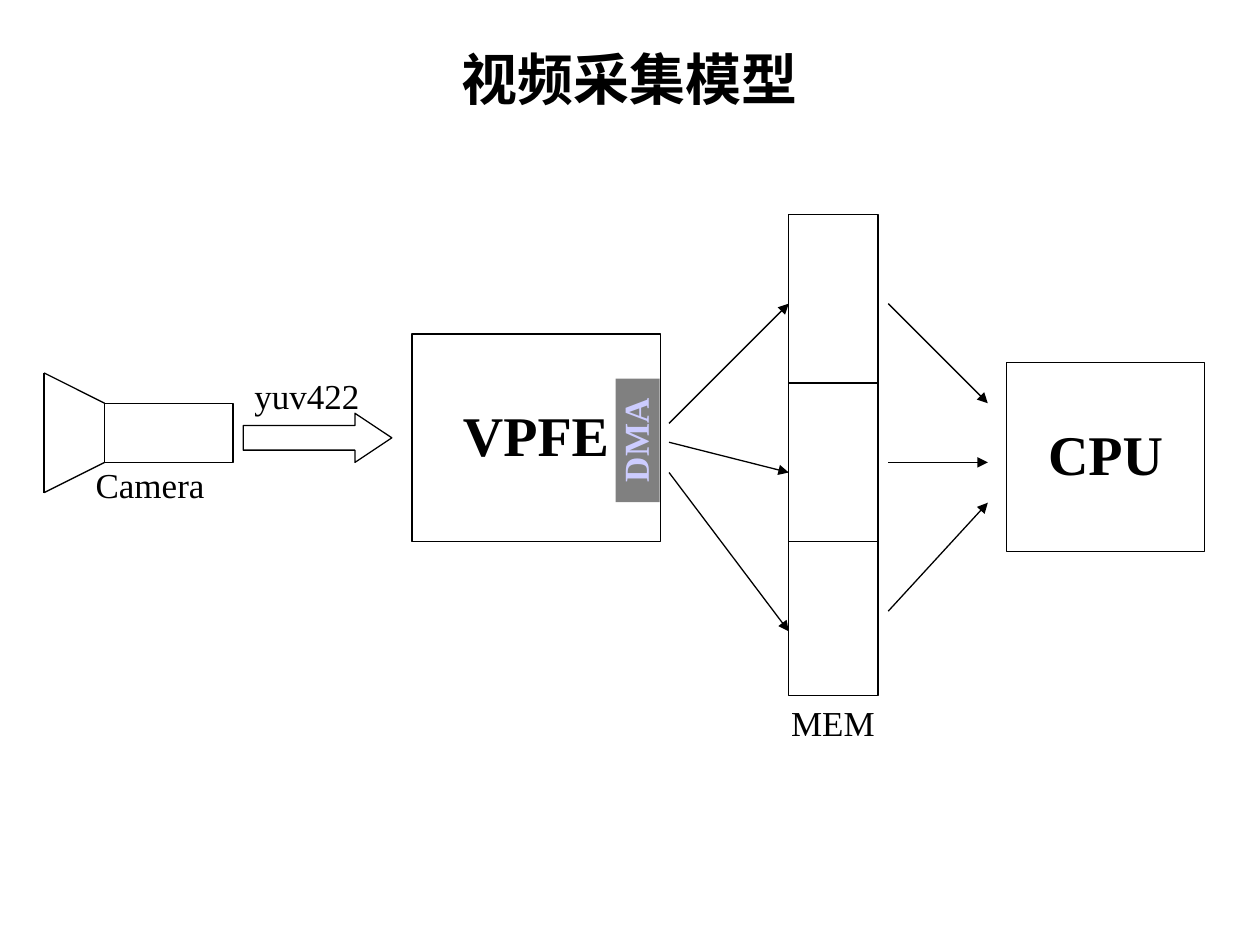
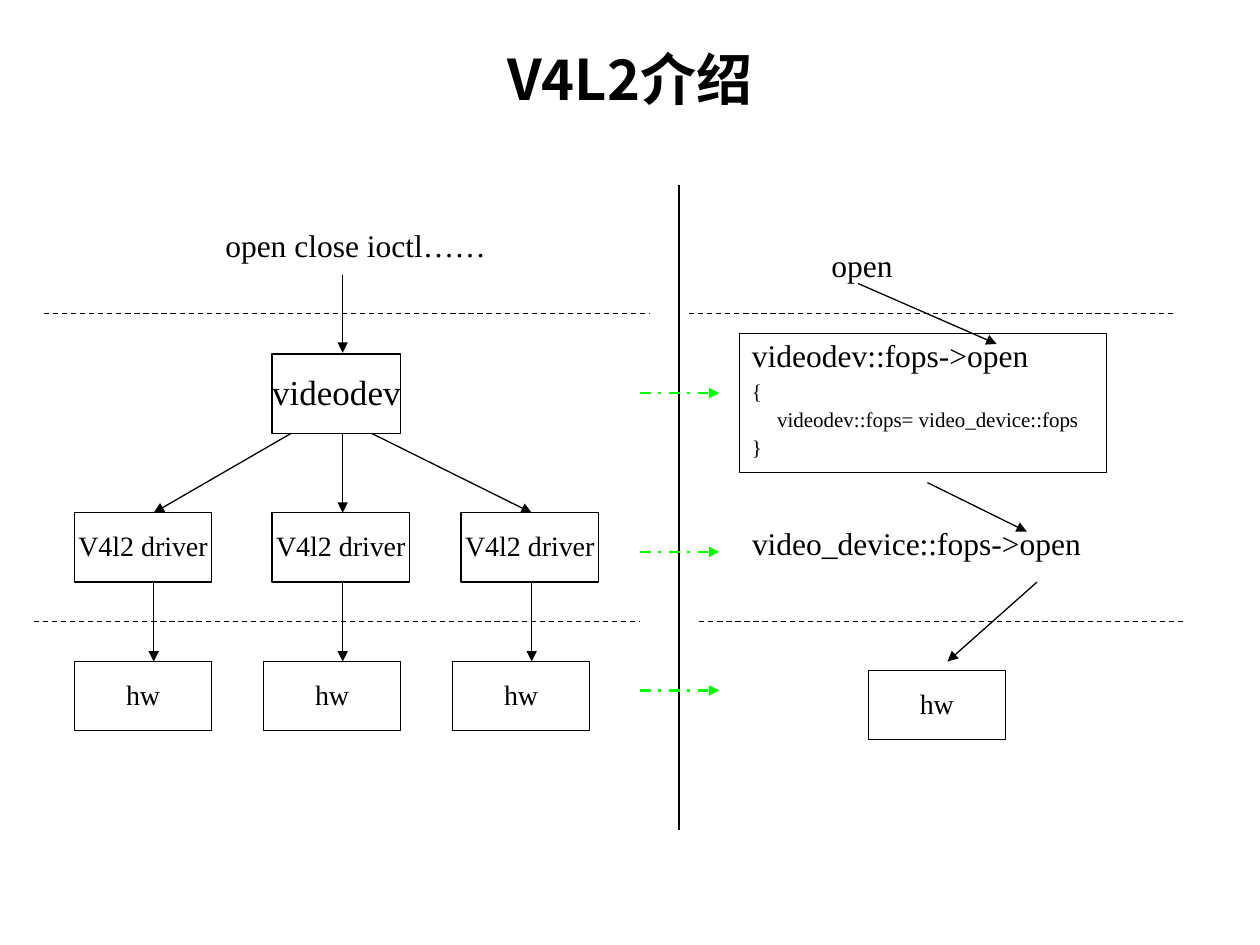
from dataclasses import dataclass

from lxml import etree
from pptx import Presentation
from pptx.dml.color import RGBColor
from pptx.enum.dml import MSO_LINE
from pptx.enum.shapes import MSO_CONNECTOR, MSO_SHAPE
from pptx.enum.text import MSO_ANCHOR, MSO_AUTO_SIZE, PP_ALIGN
from pptx.oxml.ns import qn
from pptx.util import Inches, Pt

STRAIGHT = MSO_CONNECTOR.STRAIGHT
RECTANGLE = MSO_SHAPE.RECTANGLE
RIGHT_ARROW = MSO_SHAPE.RIGHT_ARROW
DASH, DASH_DOT = MSO_LINE.DASH, MSO_LINE.DASH_DOT
CENTER, LEFT = PP_ALIGN.CENTER, PP_ALIGN.LEFT
TOP, MIDDLE = MSO_ANCHOR.TOP, MSO_ANCHOR.MIDDLE
NO_AUTO_SIZE = MSO_AUTO_SIZE.NONE
TITLE_ONLY = 5


@dataclass(frozen=True)
class Theme:
    ink: RGBColor = RGBColor(0, 0, 0)
    dma_fill: RGBColor = RGBColor(0x80, 0x80, 0x80)
    dma_text: RGBColor = RGBColor(0xCC, 0xCC, 0xFF)
    mapping: RGBColor = RGBColor(0, 0xFF, 0)
    title_font: str = "Noto Sans CJK SC"
    body_font: str = "Times New Roman"
    heading: int = 32
    label: int = 20
    call: int = 18
    small: int = 16
    code: int = 12
    thin: float = 0.74
    thick: float = 1.5
    line_spacing: float = 0.9
    code_spacing: float = 0.6


THEME = Theme()


# Text
def format_paragraph(paragraph, size, color=THEME.ink, bold=False, align=LEFT,
                     spacing=THEME.line_spacing, font_name=THEME.body_font):
    paragraph.alignment = align
    paragraph.line_spacing = spacing
    for run in paragraph.runs:
        font = run.font
        font.name, font.size, font.bold = font_name, Pt(size), bold
        font.color.rgb = color
        east_asian = etree.SubElement(run._r.get_or_add_rPr(), qn("a:ea"))
        east_asian.set("typeface", font_name)


def add_titled_slide(presentation, title):
    slide = presentation.slides.add_slide(presentation.slide_layouts[TITLE_ONLY])
    shape = slide.shapes.title
    shape.left, shape.top = Inches(0.5), Inches(0.3)
    shape.width, shape.height = Inches(9), Inches(1.25)
    text_frame = shape.text_frame
    text_frame.text = title
    text_frame.auto_size = NO_AUTO_SIZE
    text_frame.vertical_anchor = TOP
    format_paragraph(text_frame.paragraphs[0], THEME.heading, bold=True,
                     align=CENTER, spacing=1.0, font_name=THEME.title_font)
    return slide


def add_label(slide, left, top, width, height, text, size):
    shape = slide.shapes.add_textbox(Inches(left), Inches(top),
                                     Inches(width), Inches(height))
    text_frame = shape.text_frame
    text_frame.word_wrap = True
    text_frame.text = text
    format_paragraph(text_frame.paragraphs[0], size)
    return text_frame


def add_code(text_frame, line, indent=0):
    paragraph = text_frame.add_paragraph()
    paragraph.text = line
    paragraph.space_before = Pt(7.5)
    paragraph._p.get_or_add_pPr().set("marL", str(Inches(indent)))
    format_paragraph(paragraph, THEME.code, spacing=THEME.code_spacing)


# Shapes and lines
def add_box(slide, left, top, width, height, text="", size=THEME.small,
            bold=False, color=THEME.ink, fill=None, kind=RECTANGLE):
    shape = slide.shapes.add_shape(kind, Inches(left), Inches(top),
                                   Inches(width), Inches(height))
    shape.shadow.inherit = False
    if fill is None:
        shape.fill.background()
        shape.line.color.rgb = THEME.ink
        shape.line.width = Pt(THEME.thin)
    else:
        shape.fill.solid()
        shape.fill.fore_color.rgb = fill
        shape.line.fill.background()
    if text:
        text_frame = shape.text_frame
        text_frame.text = text
        text_frame.word_wrap = False
        text_frame.vertical_anchor = MIDDLE
        format_paragraph(text_frame.paragraphs[0], size, color, bold, CENTER)
    return shape


def add_line(slide, start, end, dash=None, color=THEME.ink, width=THEME.thin):
    connector = slide.shapes.add_connector(STRAIGHT, *map(Inches, start + end))
    connector.line.color.rgb = color
    connector.line.width = Pt(width)
    if dash is not None:
        connector.line.dash_style = dash
    etree.SubElement(connector._element.spPr, qn("a:effectLst"))
    return connector


def add_arrow(slide, start, end, **style):
    connector = add_line(slide, start, end, **style)
    line = connector._element.spPr.find(qn("a:ln"))
    etree.SubElement(line, qn("a:tailEnd")).set("type", "triangle")


# Slide 1: capture path from camera to processor
def build_capture_model(presentation):
    slide = add_titled_slide(presentation, "视频采集模型")

    # Camera with its lens, and the data it sends
    add_box(slide, 0.83, 3.2, 1.02, 0.47)
    lens = [(0.83, 3.2), (0.35, 2.96), (0.35, 3.91), (0.83, 3.67)]
    for start, end in zip(lens, lens[1:]):
        add_line(slide, start, end)
    data_arrow = add_box(slide, 1.93, 3.28, 1.18, 0.39, kind=RIGHT_ARROW)
    data_arrow.adjustments[1] = 0.75
    add_label(slide, 0.66, 3.67, 1.19, 0.4, "Camera", THEME.label)
    add_label(slide, 1.92, 2.96, 1.19, 0.4, "yuv422", THEME.label)

    # Front end and processor
    add_box(slide, 3.27, 2.65, 1.97, 1.65, "VPFE", THEME.heading, bold=True)
    dma = add_box(slide, 4.57, 3.32, 0.98, 0.35, "DMA", THEME.label, bold=True,
                  color=THEME.dma_text, fill=THEME.dma_fill)
    dma.rotation = 270
    add_box(slide, 7.99, 2.88, 1.57, 1.5, "CPU", THEME.heading, bold=True)

    # Memory split into three buffers
    add_box(slide, 6.26, 1.7, 0.71, 3.82)
    for y in (3.04, 4.3):
        add_line(slide, (6.26, y), (6.97, y))
    add_label(slide, 6.18, 5.56, 0.87, 0.4, "MEM", THEME.label)

    # Into and out of each buffer
    for start_y, end_y in ((3.36, 2.41), (3.51, 3.75), (3.75, 5.01)):
        add_arrow(slide, (5.31, start_y), (6.26, end_y))
    for start_y, end_y in ((2.41, 3.2), (3.67, 3.67), (4.85, 3.99)):
        add_arrow(slide, (7.05, start_y), (7.84, end_y))


# Slide 2: driver layers on the left, call sequence on the right
def build_v4l2_layers(presentation):
    slide = add_titled_slide(presentation, "V4L2介绍")
    box_size = (1.09, 0.55)

    # Layer borders and the divider between the halves
    for y, left_x, right_x in ((2.49, 0.35, 5.47), (4.93, 0.27, 5.55)):
        add_line(slide, (left_x, y), (left_x + 4.81, y), dash=DASH)
        add_line(slide, (right_x, y), (right_x + 3.86, y), dash=DASH)
    add_line(slide, (5.39, 1.47), (5.39, 6.59))

    # Driver tree
    add_label(slide, 1.69, 1.78, 2.36, 0.37, "open close ioctl……", THEME.call)
    add_arrow(slide, (2.72, 2.18), (2.72, 2.8))
    add_box(slide, 2.16, 2.81, 1.02, 0.63, "videodev", THEME.label)
    columns = zip((0.59, 2.16, 3.66), (2.31, 2.72, 2.95))
    for column, (driver_x, branch_x) in enumerate(columns):
        hardware_x = 0.59 + 1.5 * column
        arrow_x = 1.22 + 1.5 * column
        add_arrow(slide, (branch_x, 3.44), (arrow_x, 4.07))
        add_box(slide, driver_x, 4.07, *box_size, "V4l2 driver")
        add_arrow(slide, (arrow_x, 4.62), (arrow_x, 5.25))
        add_box(slide, hardware_x, 5.25, *box_size, "hw")

    # Call sequence of open
    add_label(slide, 6.5, 1.94, 1.02, 0.37, "open", THEME.call)
    add_box(slide, 5.87, 2.65, 2.91, 1.1)
    function = add_label(slide, 5.87, 2.65, 3.47, 1.05,
                         "videodev::fops->open", THEME.call)
    add_code(function, "{")
    add_code(function, "videodev::fops= video_device::fops", indent=0.2)
    add_code(function, "}")
    add_label(slide, 5.87, 4.14, 2.99, 0.37, "video_device::fops->open", THEME.call)
    add_box(slide, 6.89, 5.32, *box_size, "hw")
    for start, end in (((6.81, 2.25), (7.91, 2.73)),
                       ((7.36, 3.83), (8.15, 4.22)),
                       ((8.23, 4.62), (7.52, 5.25))):
        add_arrow(slide, start, end)

    # Each layer maps to a step of the call
    for y in (3.12, 4.38, 5.48):
        add_arrow(slide, (5.08, y), (5.71, y), dash=DASH_DOT,
                  color=THEME.mapping, width=THEME.thick)


def main():
    presentation = Presentation()
    presentation.slide_width = Inches(10)
    presentation.slide_height = Inches(7.5)
    build_capture_model(presentation)
    build_v4l2_layers(presentation)
    presentation.save("out.pptx")


main()
